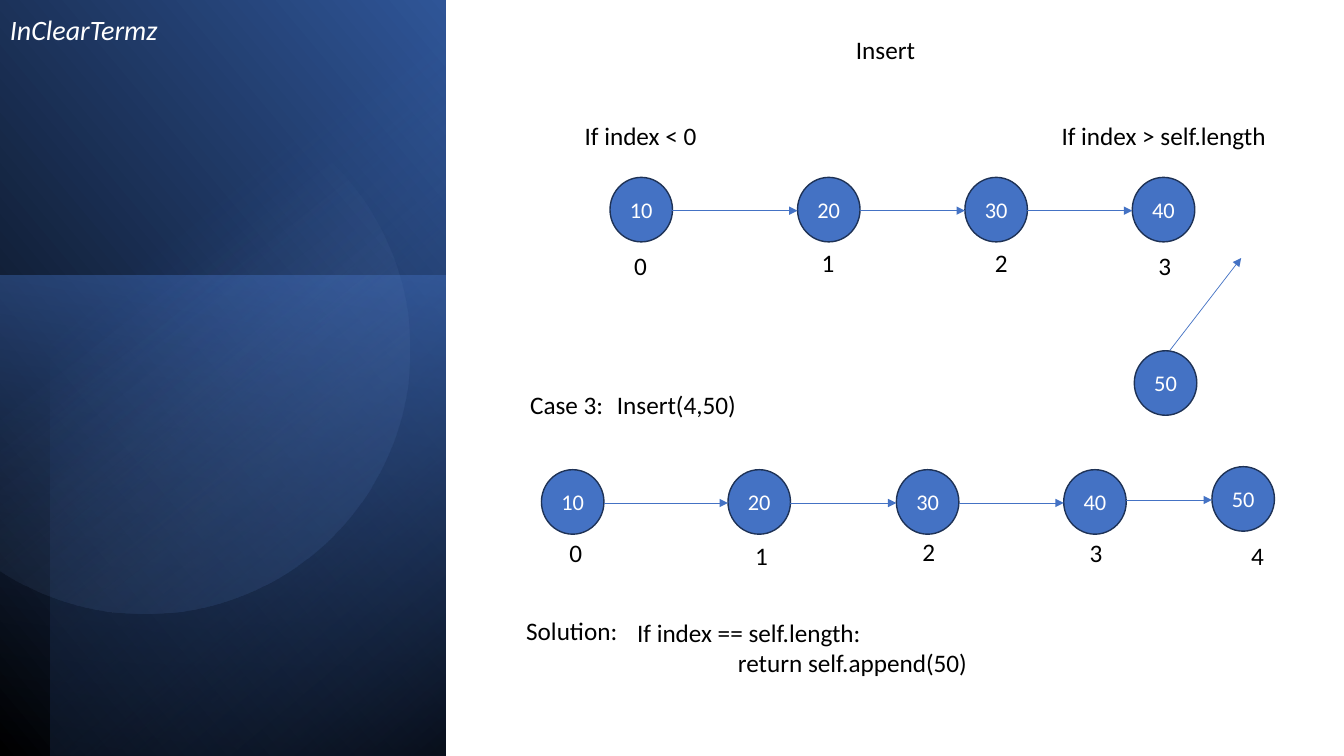
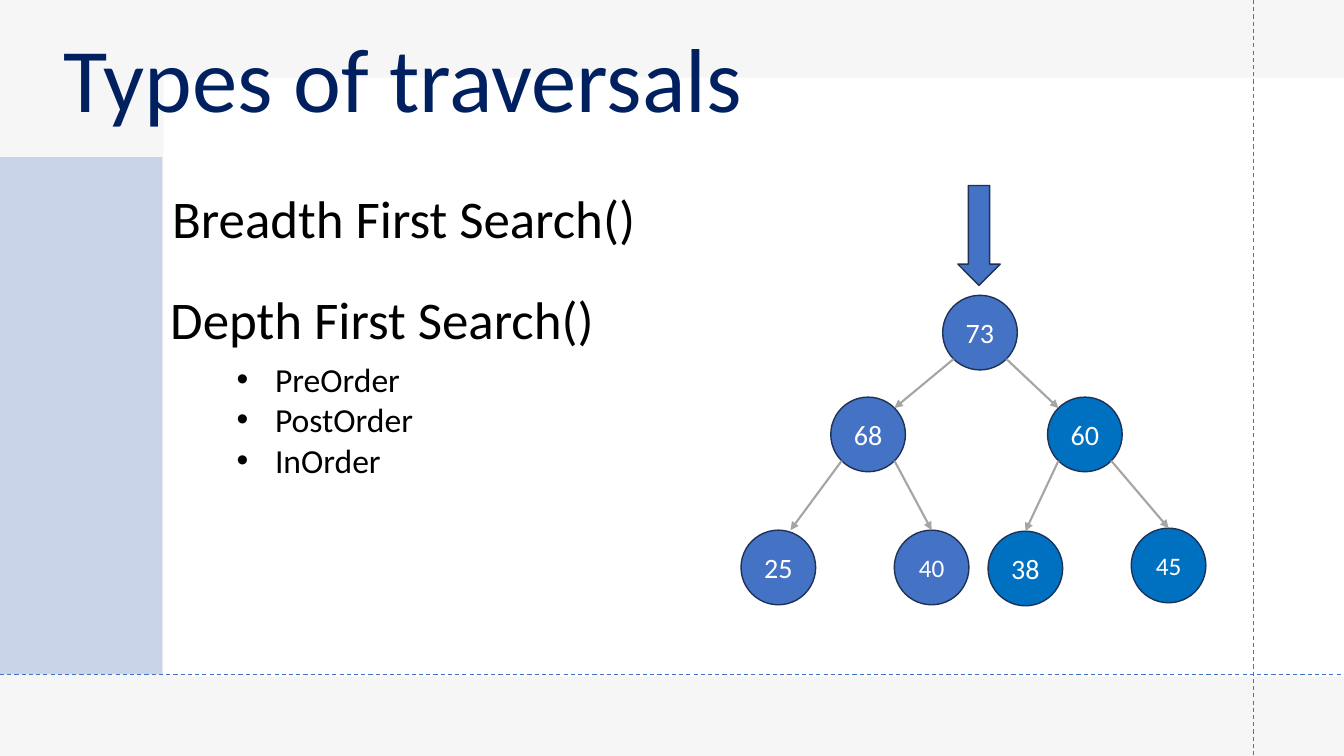
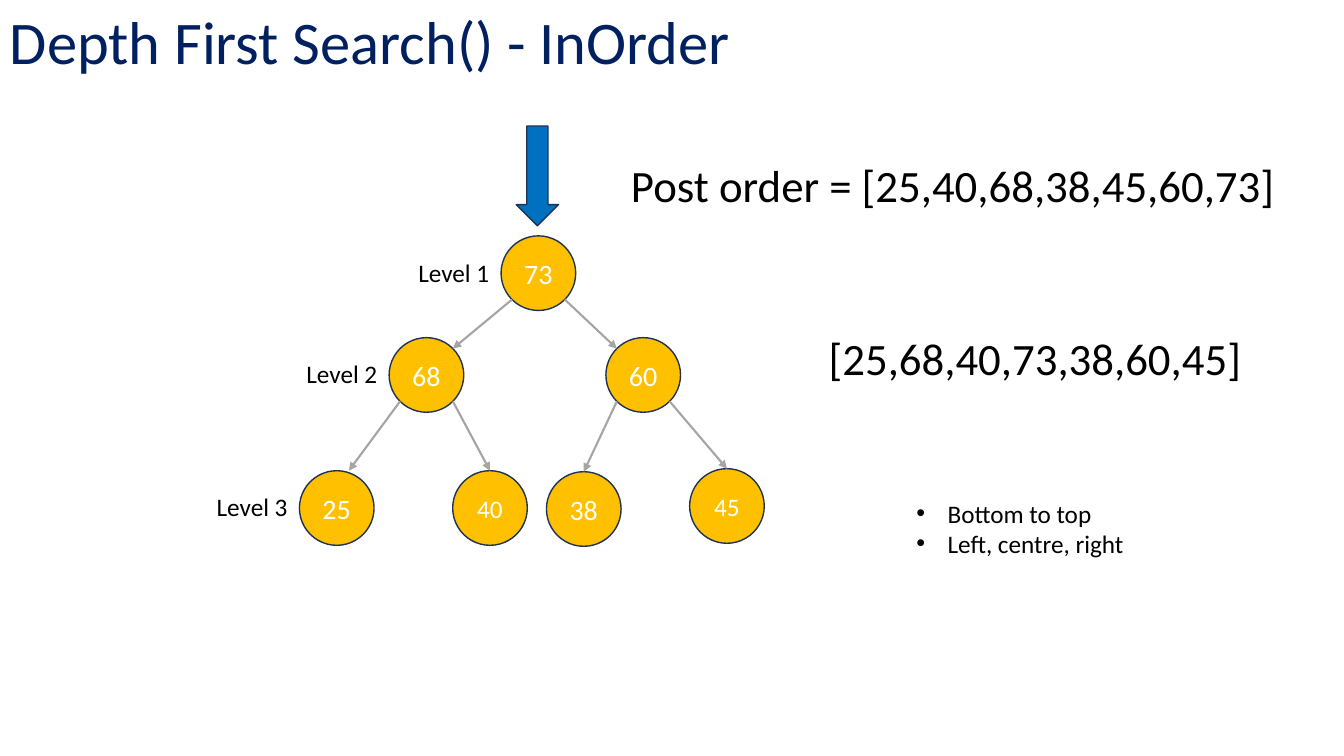
from dataclasses import dataclass
from math import acos, cos, pi, sin

from pptx import Presentation
from pptx.dml.color import RGBColor
from pptx.enum.dml import MSO_LINE_DASH_STYLE as Dash
from pptx.enum.shapes import MSO_CONNECTOR as Connector, MSO_SHAPE as Preset
from pptx.enum.text import MSO_ANCHOR as Anchor, MSO_AUTO_SIZE as AutoSize, PP_ALIGN as Align
from pptx.oxml import parse_xml
from pptx.oxml.ns import nsdecls, qn
from pptx.util import Inches, Pt


@dataclass(frozen=True)
class Theme:
    font: str = "Calibri"
    text: str = "000000"
    white: str = "FFFFFF"
    title: str = "002060"
    blue: str = "4472C4"
    bright_blue: str = "0070C0"
    gold: str = "FFC000"
    outline: str = "1E3256"
    edge: str = "A5A5A5"
    pale: str = "E7E6E6"
    deep_blue: str = "2F5597"
    navy: str = "203864"
    light_blue: str = "8FAADC"
    body_size: float = 18
    chain_size: float = 16
    node_size: float = 20
    list_size: float = 24
    result_size: float = 32
    heading_size: float = 37.8
    title_size: float = 43.2
    cover_size: float = 64.8


THEME = Theme()
SLIDE_WIDTH, SLIDE_HEIGHT = 13.33, 7.5
CHAIN_WIDTH, CHAIN_HEIGHT = 0.62, 0.64
NODE = 0.74
DIAGONAL = NODE / 2 * cos(pi / 4)
LEVEL_LABEL = (0.92, 0.4)

TREE_NODES = {
    73: (0, 0),
    68: (-1.11, 1.01),
    60: (1.04, 1.01),
    25: (-2, 2.33),
    40: (-0.48, 2.33),
    38: (0.45, 2.34),
    45: (1.87, 2.31),
}
TREE_EDGES = [(73, 68), (73, 60), (68, 25), (68, 40), (60, 38), (60, 45)]
RIGHT_BRANCH = {60, 38, 45}
SMALL_NUMBERS = {40, 45}
TIP_SHIFT = {25: 0.12}

FULL_CHAIN = [
    (10, 6.05, 1.76, 6.19, 2.43),
    (20, 7.91, 1.76, 8.05, 2.4),
    (30, 9.57, 1.76, 9.77, 2.4),
    (40, 11.23, 1.76, 11.39, 2.43),
]
APPENDED_CHAIN = [
    (10, 5.37, 4.66, 5.55, 5.28),
    (20, 7.22, 4.66, 7.39, 5.31),
    (30, 8.89, 4.66, 9.05, 5.27),
    (40, 10.55, 4.66, 10.71, 5.28),
    (50, 12.02, 4.63, 12.31, 5.31),
]


def rgb(value):
    return RGBColor.from_string(value)


def set_all(target, values):
    for name, value in values.items():
        setattr(target, name, value)


def fill_solid(shape, color, opacity=100):
    shape.fill.solid()
    shape.fill.fore_color.rgb = rgb(color)
    if opacity < 100:
        color_node = shape.fill._xPr.find(qn("a:solidFill"))[0]
        color_node.append(parse_xml(f'<a:alpha {nsdecls("a")} val="{opacity * 1000}"/>'))


def fill_gradient(shape, stops, angle):
    stop_xml = "".join(
        f'<a:gs pos="{position * 1000}"><a:srgbClr val="{color}">'
        f'<a:alpha val="{opacity * 1000}"/></a:srgbClr></a:gs>'
        for position, color, opacity in stops
    )
    shape.fill.background()
    properties = shape._element.spPr
    properties.replace(
        properties.find(qn("a:noFill")),
        parse_xml(
            f'<a:gradFill {nsdecls("a")}><a:gsLst>{stop_xml}</a:gsLst>'
            f'<a:lin ang="{angle * 60000}" scaled="0"/></a:gradFill>'
        ),
    )


def add_preset(slide, preset, frame, color=THEME.white, opacity=100, outline=None):
    shape = slide.shapes.add_shape(preset, *map(Inches, frame))
    shape.shadow.inherit = False
    fill_solid(shape, color, opacity)
    if outline:
        shape.line.color.rgb = rgb(outline)
        shape.line.width = Pt(1)
    else:
        shape.line.fill.background()
    return shape


def add_line(slide, start, end, color=THEME.blue, width=0.5, arrow=True, dash=None):
    line = slide.shapes.add_connector(Connector.STRAIGHT, *map(Inches, (*start, *end)))
    line.line.color.rgb = rgb(color)
    set_all(line.line, {"width": Pt(width), "dash_style": dash})
    if arrow:
        line.line._get_or_add_ln().append(
            parse_xml(f'<a:tailEnd {nsdecls("a")} type="triangle"/>')
        )
    line._element.spPr.append(parse_xml(f'<a:effectLst {nsdecls("a")}/>'))


def write_run(paragraph, text, size, color, italic=False):
    run = paragraph.add_run()
    run.text = text
    set_all(run.font, {"name": THEME.font, "size": Pt(size), "italic": italic})
    run.font.color.rgb = rgb(color)


def set_indent(paragraph, left, first=0, bullet=None):
    properties = paragraph._p.get_or_add_pPr()
    properties.set("marL", str(Inches(left)))
    properties.set("indent", str(Inches(first)))
    if bullet:
        properties.append(parse_xml(f'<a:buFont {nsdecls("a")} typeface="Arial"/>'))
        properties.append(parse_xml(f'<a:buChar {nsdecls("a")} char="{bullet}"/>'))


def add_text(slide, frame, *lines, size=THEME.body_size, color=THEME.text, italic=False,
             wrap=False, anchor=Anchor.TOP, spacing=None, bullet_indent=None):
    text_frame = slide.shapes.add_textbox(*map(Inches, frame)).text_frame
    set_all(text_frame, {
        "word_wrap": wrap,
        "vertical_anchor": anchor,
        "auto_size": AutoSize.NONE if wrap else AutoSize.SHAPE_TO_FIT_TEXT,
    })
    for position, line in enumerate(lines):
        paragraph = text_frame.add_paragraph() if position else text_frame.paragraphs[0]
        if bullet_indent:
            set_indent(paragraph, bullet_indent, -bullet_indent, "•")
        if spacing:
            paragraph.line_spacing = spacing
        write_run(paragraph, line, size, color, italic)
    return text_frame


def add_title(slide, frame, text, size, color=THEME.title, spacing=0.9, italic=False):
    add_text(slide, frame, text, size=size, color=color, italic=italic,
             wrap=True, anchor=Anchor.BOTTOM, spacing=spacing)


def add_node(slide, frame, number, color, size):
    node = add_preset(slide, Preset.OVAL, frame, color, outline=THEME.outline)
    set_all(node.text_frame, {"word_wrap": False, "vertical_anchor": Anchor.MIDDLE})
    paragraph = node.text_frame.paragraphs[0]
    paragraph.alignment = Align.CENTER
    write_run(paragraph, str(number), size, THEME.white)


def add_chain_node(slide, number, left, top):
    frame = (left, top, CHAIN_WIDTH, CHAIN_HEIGHT)
    add_node(slide, frame, number, THEME.blue, THEME.chain_size)


def add_chain(slide, chain):
    for index, (number, left, top, label_left, label_top) in enumerate(chain):
        add_chain_node(slide, number, left, top)
        add_text(slide, (label_left, label_top, 0.33, 0.4), str(index))
        if index:
            height = top + CHAIN_HEIGHT / 2 + 0.01
            previous_right = chain[index - 1][1] + CHAIN_WIDTH
            add_line(slide, (previous_right, height), (left, height))


def add_tree(slide, left, top, arrow_color, left_color, right_color):
    add_preset(slide, Preset.DOWN_ARROW, (left + 0.15, top - 1.09, 0.42, 0.99),
               arrow_color, outline=THEME.outline)
    centers = {
        number: (left + x + NODE / 2, top + y + NODE / 2)
        for number, (x, y) in TREE_NODES.items()
    }
    for number, (x, y) in centers.items():
        add_node(slide, (x - NODE / 2, y - NODE / 2, NODE, NODE), number,
                 right_color if number in RIGHT_BRANCH else left_color,
                 THEME.body_size if number in SMALL_NUMBERS else THEME.node_size)
    for parent, child in TREE_EDGES:
        (parent_x, parent_y), (child_x, child_y) = centers[parent], centers[child]
        side = DIAGONAL if child_x > parent_x else -DIAGONAL
        if parent == 73:
            tip = (child_x - side, child_y - DIAGONAL)
        else:
            tip = (child_x + TIP_SHIFT.get(child, 0), child_y - NODE / 2)
        add_line(slide, (parent_x + side, parent_y + DIAGONAL), tip, THEME.edge, 1.5)


def add_cut_circle(slide, center_x, center_y, radius, steps=120):
    reach = acos(-center_x / radius)
    angles = [-reach + 2 * reach * step / steps for step in range(steps + 1)]
    points = [
        (Inches(center_x + radius * cos(angle)), Inches(center_y + radius * sin(angle)))
        for angle in angles
    ]
    builder = slide.shapes.build_freeform(*points[0])
    builder.add_line_segments(points[1:], close=True)
    circle = builder.convert_to_shape()
    circle.shadow.inherit = False
    circle.line.fill.background()
    return circle


def add_side_panel(slide):
    layers = [
        ((0, 0, 4.42, 7.5), [(0, THEME.text, 100), (100, THEME.deep_blue, 100)], 320),
        ((0, 2.73, 4.42, 4.77), [(0, THEME.blue, 50), (100, THEME.navy, 0)], 100),
        ((0.5, 0, 3.92, 7.5), [(0, THEME.text, 59), (69, THEME.blue, 0)], 230),
    ]
    for frame, stops, angle in layers:
        fill_gradient(add_preset(slide, Preset.RECTANGLE, frame), stops, angle)
    circle = add_cut_circle(slide, 1.44, 3.47, 2.62)
    fill_gradient(circle, [(39, THEME.light_blue, 0), (100, THEME.deep_blue, 26)], 52)


def build_insert(slide):
    add_side_panel(slide)
    add_title(slide, (0, -0.02, 1.88, 0.53), "InClearTermz", THEME.node_size,
              THEME.white, italic=True)
    labels = [
        (8.39, 0.29, 0.79, "Insert"),
        (5.7, 1.14, 1.33, "If index < 0"),
        (10.43, 1.14, 2.25, "If index > self.length"),
        (5.16, 3.81, 0.94, "Case 3:"),
        (6.02, 3.81, 1.4, "Insert(4,50)"),
        (5.12, 6.06, 1.12, "Solution:"),
    ]
    for left, top, width, text in labels:
        add_text(slide, (left, top, width, 0.4), text)
    add_chain(slide, FULL_CHAIN)
    add_line(slide, (11.6, 3.48), (12.31, 2.56))
    add_chain_node(slide, 50, 11.25, 3.48)
    add_chain(slide, APPENDED_CHAIN)
    solution = add_text(slide, (6.22, 6.07, 3.51, 0.71),
                        "If index == self.length:", "return self.append(50)")
    set_indent(solution.paragraphs[1], 1)


def build_traversals(slide):
    add_preset(slide, Preset.RECTANGLE, (0, 0, SLIDE_WIDTH, SLIDE_HEIGHT), THEME.pale, 35)
    add_preset(slide, Preset.RECTANGLE, (1.62, 0.77, 11.72, 5.94))
    for start, end in [((12.43, 0), (12.43, SLIDE_HEIGHT)), ((0, 6.69), (SLIDE_WIDTH, 6.69))]:
        add_line(slide, start, end, width=0.75, arrow=False, dash=Dash.DASH)
    add_preset(slide, Preset.RECTANGLE, (0, 1.56, 1.61, 5.13), THEME.blue, 25)
    add_tree(slide, 9.35, 2.93, THEME.blue, THEME.blue, THEME.bright_blue)
    add_title(slide, (0.53, 0.19, 7.65, 1.17), "Types of traversals", THEME.cover_size)
    headings = [
        ((1.61, 1.85, 4.9, 0.65), "Breadth First Search()"),
        ((1.59, 2.84, 4.9, 0.67), "Depth First Search()"),
    ]
    for frame, text in headings:
        add_title(slide, frame, text, THEME.heading_size, THEME.text, spacing=0.7)
    add_text(slide, (2.25, 3.51, 2.46, 1.31), "PreOrder", "PostOrder", "InOrder",
             size=THEME.list_size, wrap=True, bullet_indent=0.38)


def build_in_order(slide):
    left, top = 4.97, 2.34
    add_tree(slide, left, top, THEME.bright_blue, THEME.gold, THEME.gold)
    add_title(slide, (0, 0.05, 8.91, 0.77), "Depth First Search() - InOrder", THEME.title_size)
    for level, number in enumerate((73, 68, 25), 1):
        x, y = TREE_NODES[number]
        add_text(slide, (left + x - LEVEL_LABEL[0], top + y + 0.16, *LEVEL_LABEL),
                 f"Level {level}")
    results = [
        ((8.12, 3.23, 4.34, 0.64), "[25,68,40,73,38,60,45]"),
        ((6.16, 1.52, 6.65, 0.64), "Post order = [25,40,68,38,45,60,73]"),
    ]
    for frame, text in results:
        add_text(slide, frame, text, size=THEME.result_size)
    add_text(slide, (8.99, 4.89, 2.29, 0.71), "Bottom to top", "Left, centre, right",
             bullet_indent=0.31)


def main():
    presentation = Presentation()
    set_all(presentation, {
        "slide_width": Inches(SLIDE_WIDTH),
        "slide_height": Inches(SLIDE_HEIGHT),
    })
    for build in (build_insert, build_traversals, build_in_order):
        build(presentation.slides.add_slide(presentation.slide_layouts[6]))
    presentation.save("out.pptx")


if __name__ == "__main__":
    main()
